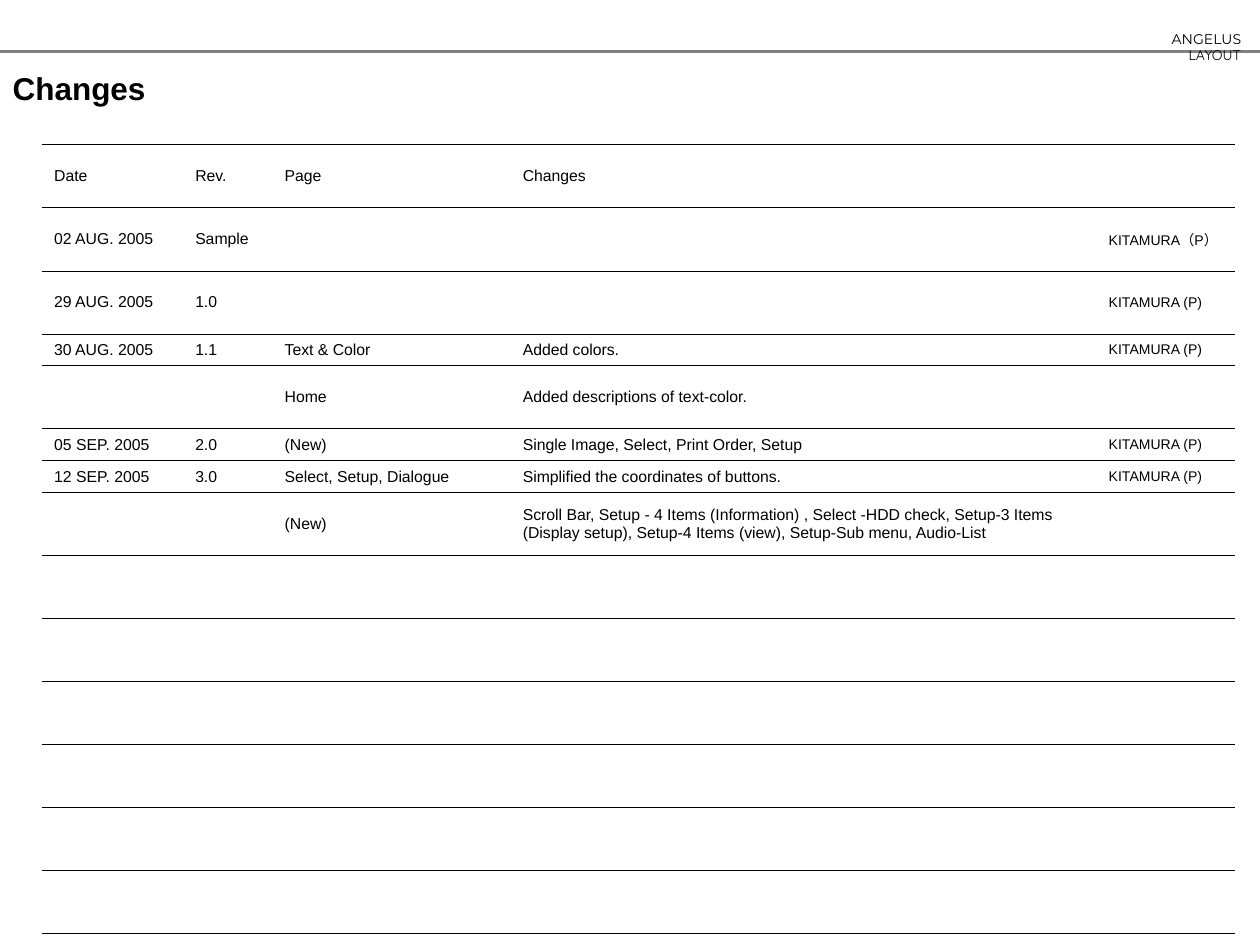
from lxml import etree
from pptx import Presentation
from pptx.dml.color import RGBColor
from pptx.enum.shapes import MSO_CONNECTOR
from pptx.enum.text import MSO_ANCHOR, MSO_AUTO_SIZE, PP_ALIGN
from pptx.oxml.ns import qn
from pptx.util import Inches, Pt

STRAIGHT = MSO_CONNECTOR.STRAIGHT
MIDDLE = MSO_ANCHOR.MIDDLE
NO_FIT = MSO_AUTO_SIZE.NONE
LEFT, RIGHT = PP_ALIGN.LEFT, PP_ALIGN.RIGHT
BLACK = RGBColor(0, 0, 0)
GRAY = RGBColor(0x80, 0x80, 0x80)

TALL, SHORT = Pt(36), Pt(18.25)
COLUMN_WIDTHS = [1.12, 0.71, 1.89, 4.65, 1.1]
BLANK_ROWS = 11
AUTHOR = "KITAMURA (P)"
CHANGES = [
    ["Date", "Rev.", "Page", "Changes", ""],
    ["02 AUG. 2005", "Sample", "", "", "KITAMURA（P）"],
    ["29 AUG. 2005", "1.0", "", "", AUTHOR],
    ["30 AUG. 2005", "1.1", "Text & Color", "Added colors.", AUTHOR],
    ["", "", "Home", "Added descriptions of text-color.", ""],
    ["05 SEP. 2005", "2.0", "(New)", "Single Image, Select, Print Order, Setup", AUTHOR],
    ["12 SEP. 2005", "3.0", "Select, Setup, Dialogue",
     "Simplified the coordinates of buttons.", AUTHOR],
    ["", "", "(New)",
     "Scroll Bar, Setup - 4 Items (Information) , Select -HDD check, Setup-3 Items "
     "(Display setup), Setup-4 Items (view), Setup-Sub menu, Audio-List", ""],
] + [[""] * len(COLUMN_WIDTHS)] * BLANK_ROWS


def add_border(cell, side, points):
    border = etree.SubElement(cell._tc.get_or_add_tcPr(), qn(f"a:ln{side}"))
    if points:
        border.set("w", str(Pt(points)))
        fill = etree.SubElement(border, qn("a:solidFill"))
        etree.SubElement(fill, qn("a:srgbClr")).set("val", str(BLACK))
    else:
        etree.SubElement(border, qn("a:noFill"))


deck = Presentation()
deck.slide_width, deck.slide_height = Inches(10), Inches(7.5)
page = deck.slides.add_slide(deck.slide_layouts[5])

rule = page.shapes.add_connector(STRAIGHT, 0, Inches(0.41), deck.slide_width, Inches(0.41))
rule.line.color.rgb = GRAY
rule.line.width = Pt(1.5)
etree.SubElement(rule._element.spPr, qn("a:effectLst"))

header = page.shapes.add_textbox(Inches(8.8), Inches(0.19), Inches(1.15), Inches(0.24))
header.text_frame.word_wrap = True
para = header.text_frame.paragraphs[0]
para.alignment = RIGHT
for words, typeface in [("ANGELUS", "Montserrat"), (" LAYOUT", "Quicksand")]:
    span = para.add_run()
    span.text = words
    span.font.name = typeface
    span.font.size = Pt(8)
    span.font.color.rgb = BLACK

grid = page.shapes.add_table(
    len(CHANGES), len(COLUMN_WIDTHS), Inches(0.33), Inches(1.15),
    Inches(sum(COLUMN_WIDTHS)), SHORT * len(CHANGES))
table = grid.table
table.first_row = False
table.horz_banding = False
for column, width in zip(table.columns, COLUMN_WIDTHS):
    column.width = Inches(width)

for row_number, (row, texts) in enumerate(zip(table.rows, CHANGES)):
    row.height = SHORT if all(texts) else TALL
    top = 0.75 if row_number < 2 else 0.45
    bottom = 0.75 if row_number == 0 else 0.45
    for column_number, (cell, words) in enumerate(zip(row.cells, texts)):
        for side, points in [("L", 0), ("R", 0), ("T", top), ("B", bottom)]:
            add_border(cell, side, points)
        cell.fill.background()
        cell.vertical_anchor = MIDDLE
        cell.text = words
        para = cell.text_frame.paragraphs[0]
        para.font.name = "Arial"
        para.font.size = Pt(8 if column_number == 4 else 9)
        para.font.color.rgb = BLACK

title = page.shapes.title
title.left, title.top = 0, Inches(0.5)
title.width, title.height = Inches(1.26), Inches(0.4)
title.text_frame.text = "Changes"
title.text_frame.word_wrap = False
title.text_frame.auto_size = NO_FIT
title.text_frame.vertical_anchor = MIDDLE
para = title.text_frame.paragraphs[0]
para.alignment = LEFT
para.font.name = "Arial"
para.font.size = Pt(18)
para.font.bold = True
para.font.color.rgb = BLACK

deck.save("out.pptx")
